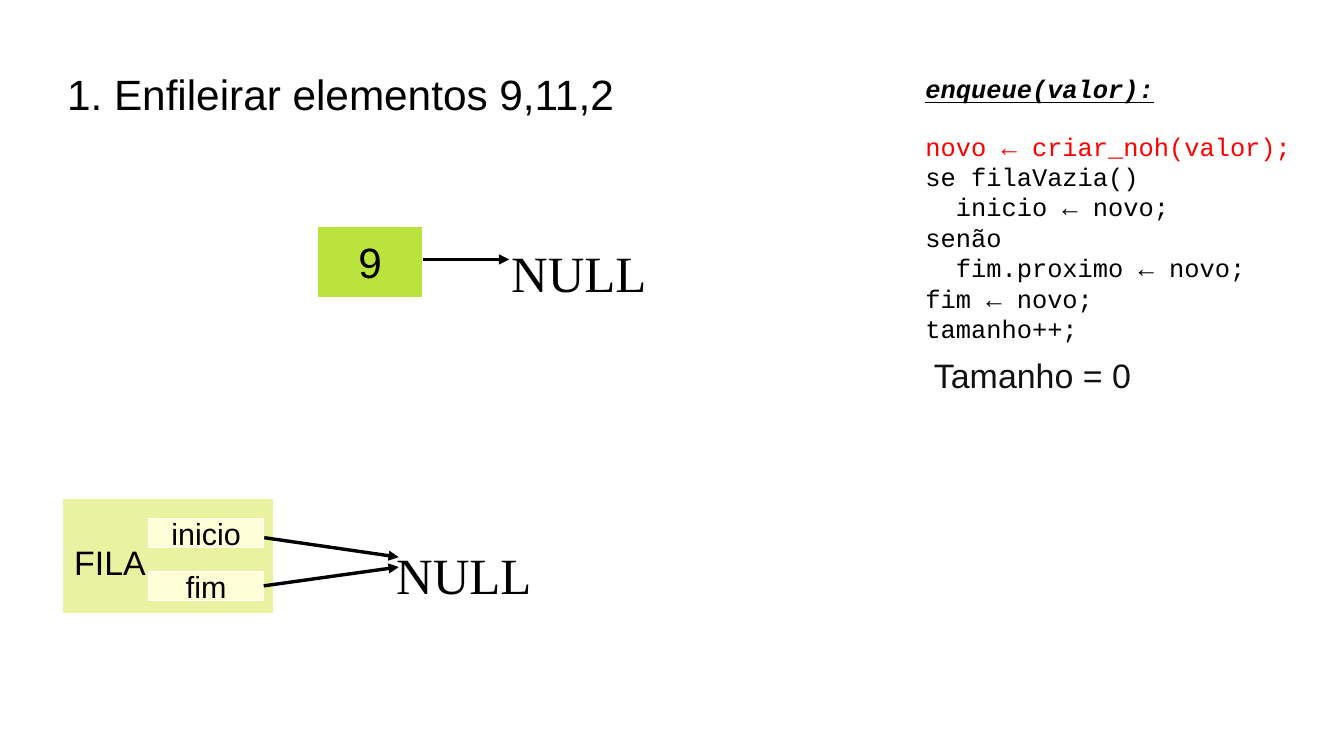
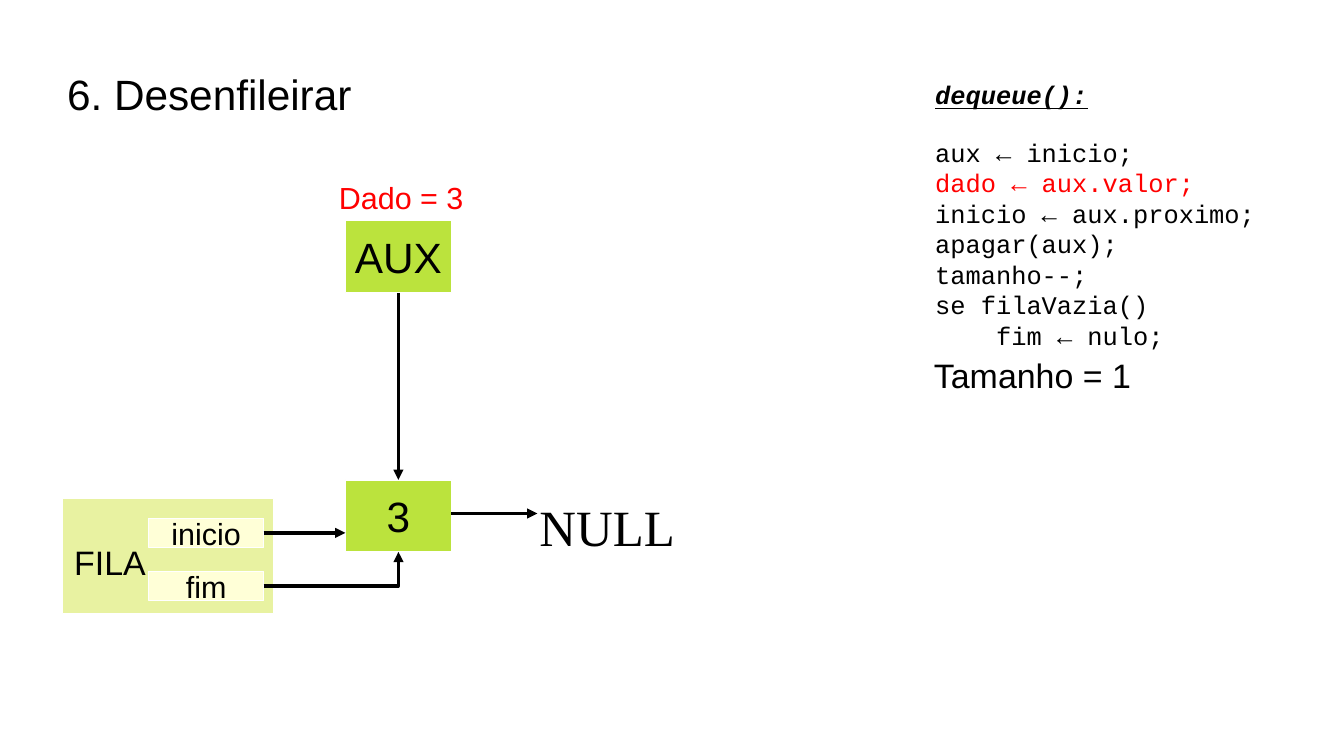
from dataclasses import dataclass

import pptx
import pptx.dml.color
import pptx.enum.shapes
import pptx.enum.text
import pptx.oxml
import pptx.oxml.ns
import pptx.util

Pt = pptx.util.Pt
Align = pptx.enum.text.PP_ALIGN
Anchor = pptx.enum.text.MSO_ANCHOR
Connector = pptx.enum.shapes.MSO_CONNECTOR
TOP, LEFT, BOTTOM, RIGHT = range(4)


@dataclass(frozen=True)
class Theme:
    # Colours
    ink: str = "000000"
    soft_ink: str = "111111"
    accent: str = "FF0000"
    edge: str = "FFFFFF"
    queue: str = "E8F2A1"
    field: str = "FFFFD7"
    node: str = "BBE33D"
    # Fonts
    sans: str = "Arial"
    mono: str = "Courier New"
    serif: str = "Times New Roman"
    # Type sizes
    title_size: int = 25
    null_size: int = 30
    label_size: int = 20
    field_size: int = 18
    code_size: int = 15
    code_pitch: int = 18


THEME = Theme()


def rgb(color):
    return pptx.dml.color.RGBColor.from_string(color)


def write(paragraph, text, *, size, font=THEME.sans, color=THEME.ink, emphasis=False,
          align=Align.LEFT, pitch=None, after=0):
    """Put text in a paragraph with the given format."""
    paragraph.alignment = align
    paragraph.space_after = Pt(after)
    if pitch:
        paragraph.line_spacing = Pt(pitch)
    run = paragraph.add_run()
    run.text = text
    run.font.name = font
    run.font.size = Pt(size)
    run.font.color.rgb = rgb(color)
    run.font.bold = run.font.italic = run.font.underline = emphasis


class QueueDeck:
    """Holds the theme and the slide being drawn; lengths are points."""

    def __init__(self, theme):
        self.theme = theme
        self.presentation = pptx.Presentation()
        self.presentation.slide_width = Pt(793.44)
        self.presentation.slide_height = Pt(446.4)
        self.slide = None

    def start(self, title):
        layout = self.presentation.slide_layouts[5]
        self.slide = self.presentation.slides.add_slide(layout)
        shape = self.slide.shapes.title
        shape.left, shape.top, shape.width, shape.height = map(Pt, (39.6, 18, 714, 75))
        frame = shape.text_frame
        frame.auto_size = pptx.enum.text.MSO_AUTO_SIZE.NONE
        frame.vertical_anchor = Anchor.MIDDLE
        frame.margin_left = frame.margin_right = frame.margin_top = frame.margin_bottom = 0
        write(frame.paragraphs[0], title, size=self.theme.title_size)

    def box(self, left, top, width, height, fill, text="", size=None):
        shape = self.slide.shapes.add_shape(
            pptx.enum.shapes.MSO_SHAPE.RECTANGLE, *map(Pt, (left, top, width, height)))
        shape.shadow.inherit = False
        shape.fill.solid()
        shape.fill.fore_color.rgb = rgb(fill)
        shape.line.color.rgb = rgb(self.theme.edge)
        shape.line.width = Pt(0)
        if text:
            frame = shape.text_frame
            frame.word_wrap = False
            frame.vertical_anchor = Anchor.MIDDLE
            write(frame.paragraphs[0], text, size=size, align=Align.CENTER)
        return shape

    def text_box(self, left, top, width, height):
        shape = self.slide.shapes.add_textbox(*map(Pt, (left, top, width, height)))
        shape.text_frame.word_wrap = True
        return shape.text_frame

    def label(self, left, top, width, height, text, **style):
        frame = self.text_box(left, top, width, height)
        write(frame.paragraphs[0], text, **style)

    def arrow(self, start=(0, 0), end=(0, 0), begin_at=None, end_at=None, bent=False):
        """Draw from start to end; begin_at and end_at are (shape, side) joints."""
        kind = Connector.ELBOW if bent else Connector.STRAIGHT
        connector = self.slide.shapes.add_connector(kind, *map(Pt, (*start, *end)))
        if begin_at:
            connector.begin_connect(*begin_at)
        if end_at:
            connector.end_connect(*end_at)
        connector.line.color.rgb = rgb(self.theme.ink)
        connector.line.width = Pt(0)
        properties = connector._element.spPr
        if bent:
            properties.find(pptx.oxml.ns.qn("a:prstGeom")).set("prst", "bentConnector2")
        namespace = pptx.oxml.ns.nsdecls("a")
        connector.line._get_or_add_ln().append(
            pptx.oxml.parse_xml(f'<a:tailEnd {namespace} type="triangle"/>'))
        properties.append(pptx.oxml.parse_xml(f"<a:effectLst {namespace}/>"))

    def node(self, left, top, text):
        return self.box(left, top, 62.6, 42.5, self.theme.node, text, self.theme.title_size)

    def null(self, left, top):
        self.label(left, top, 96.5, 37.4, "NULL",
                   size=self.theme.null_size, font=self.theme.serif)

    def last_node(self, left, top, text):
        """A node whose next pointer is NULL."""
        shape = self.node(left, top, text)
        self.null(left + 107.5, top + 5.5)
        self.arrow((left + 62.6, top + 19.8), (left + 113.4, top + 19.8))
        return shape

    def queue(self):
        """The queue record; returns its two pointer fields."""
        theme = self.theme
        self.box(36.7, 294.5, 124.6, 67.7, theme.queue)
        fields = [self.box(87.8, top, 67.9, 17.3, theme.field, name, theme.field_size)
                  for name, top in (("inicio", 306), ("fim", 337.3))]
        self.label(36.7, 316, 57, 29.5, "FILA", size=theme.label_size)
        return fields

    def code(self, left, top, width, heading, lines, current):
        """A listing with the line being run in the accent colour."""
        theme = self.theme
        style = dict(size=theme.code_size, font=theme.mono, pitch=theme.code_pitch)
        frame = self.text_box(left, top, width, 167)
        write(frame.paragraphs[0], heading, emphasis=True, after=16, **style)
        for index, line in enumerate(lines):
            color = theme.accent if index == current else theme.ink
            write(frame.add_paragraph(), line, color=color, **style)

    def count(self, value, color):
        self.label(544.3, 206, 136, 29.5, f"Tamanho = {value}",
                   size=self.theme.label_size, color=color)


def enqueue_slide(deck):
    deck.start("1. Enfileirar elementos 9,11,2")

    # Empty queue: both fields point to NULL
    start_field, end_field = deck.queue()
    deck.null(226.8, 317.5)
    deck.arrow((156, 317.5), (235.4, 329))
    deck.arrow(end=(235.4, 334.8), begin_at=(end_field, RIGHT))

    # Algorithm and new node
    deck.code(539.3, 39.6, 234.7, "enqueue(valor):", (
        "novo ← criar_noh(valor);",
        "se filaVazia()",
        "  inicio ← novo;",
        "senão",
        "  fim.proximo ← novo;",
        "fim ← novo;",
        "tamanho++;",
    ), current=0)
    deck.last_node(187.2, 133.4, "9")
    deck.count(0, deck.theme.soft_ink)


def dequeue_slide(deck):
    deck.start("6. Desenfileirar")

    # Queue with one node
    start_field, end_field = deck.queue()
    deck.count(1, deck.theme.ink)
    node = deck.last_node(203.9, 283.4, "3")
    deck.arrow(begin_at=(end_field, RIGHT), end_at=(node, BOTTOM), bent=True)
    deck.arrow(end=(203.9, 314.65), begin_at=(start_field, RIGHT))

    # Algorithm
    deck.code(545, 43.2, 248, "dequeue():", (
        "aux ← inicio;",
        "dado ← aux.valor;",
        "inicio ← aux.proximo;",
        "apagar(aux);",
        "tamanho--;",
        "se filaVazia()",
        "\tfim ← nulo;",
    ), current=1)

    # Auxiliary pointer and the value read
    auxiliary = deck.node(203.9, 130.4, "AUX")
    deck.arrow(begin_at=(auxiliary, BOTTOM), end_at=(node, TOP))
    deck.label(193, 102.2, 102.2, 28, "Dado = 3",
               size=deck.theme.field_size, color=deck.theme.accent)


def main():
    deck = QueueDeck(THEME)
    enqueue_slide(deck)
    dequeue_slide(deck)
    deck.presentation.save("out.pptx")


if __name__ == "__main__":
    main()
